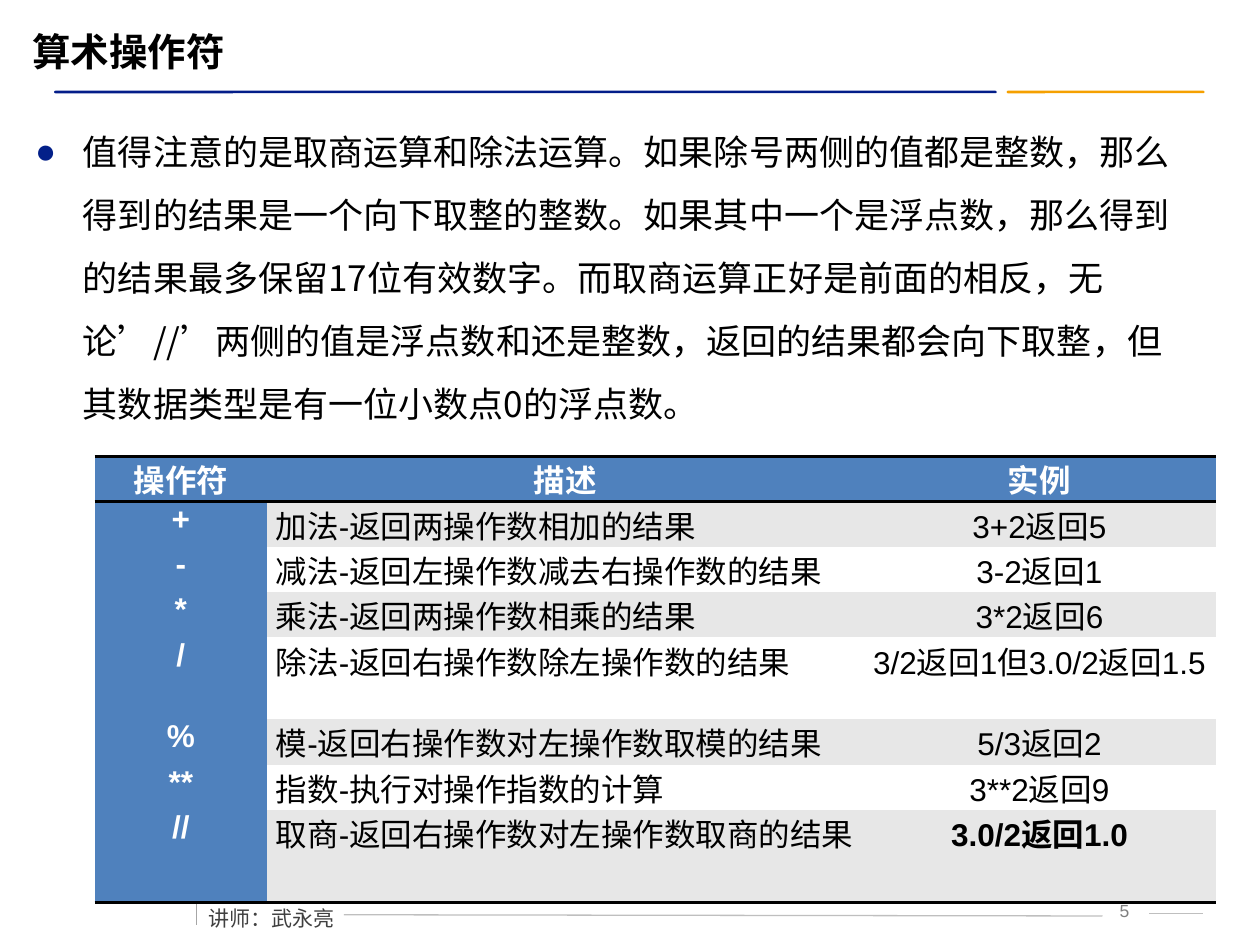
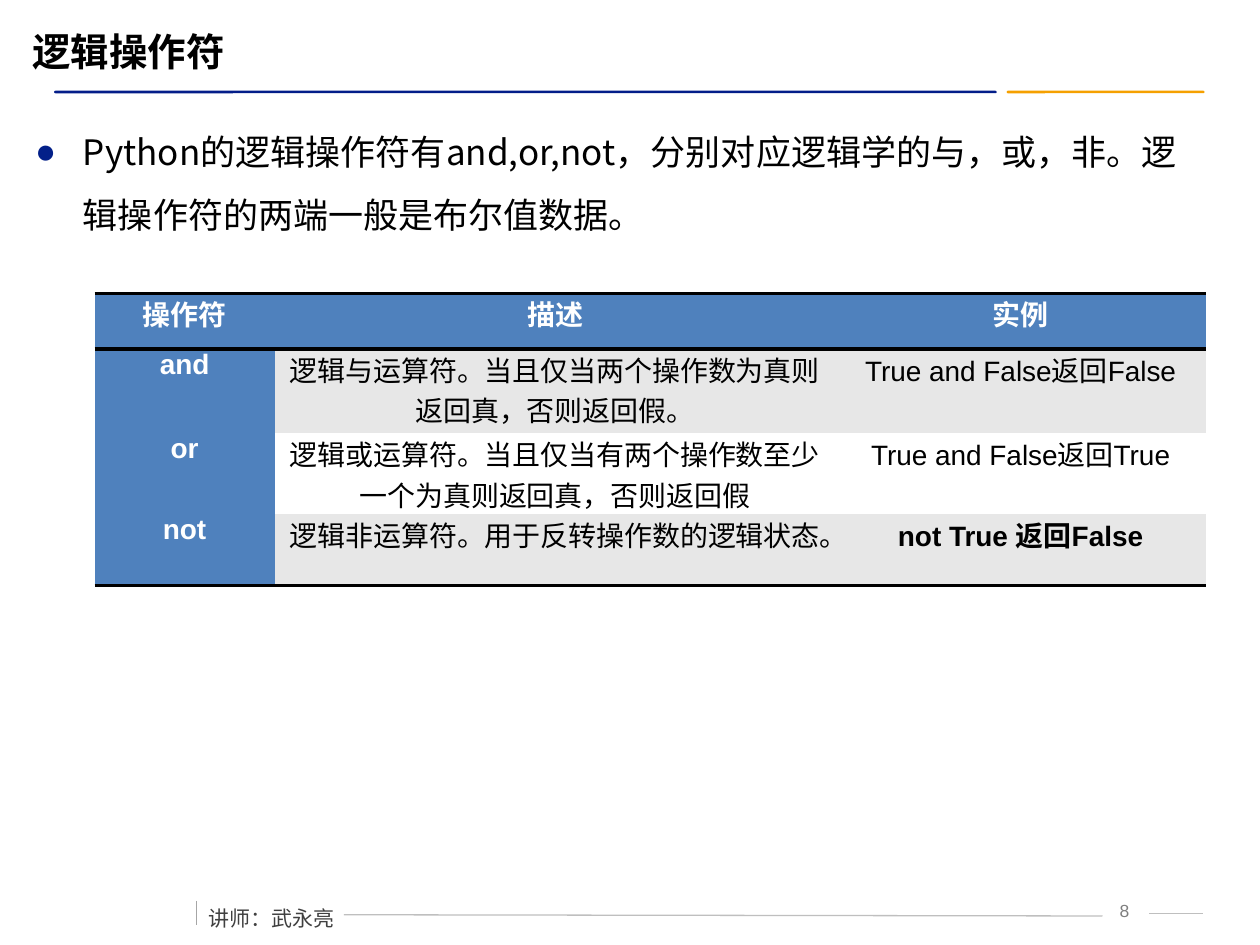
from lxml import etree
from pptx import Presentation
from pptx.dml.color import RGBColor
from pptx.enum.shapes import MSO_CONNECTOR, MSO_SHAPE
from pptx.enum.text import MSO_ANCHOR, MSO_AUTO_SIZE, PP_ALIGN
from pptx.oxml.ns import qn
from pptx.util import Inches, Pt

COLORS = {
    "navy": "031D89", "bullet": "032089", "orange": "F5A000",
    "blue": "4F81BD", "band": "E7E7E7", "white": "FFFFFF", "black": "000000",
    "footer": "404040", "number": "7F7F7F", "rule": "BFBFBF", "tick": "A6A6A6",
}
CJK = "Noto Sans CJK SC"
NO_STYLE = "{2D5ABB26-0587-4C30-8999-92F81FD0307C}"

ARITHMETIC_NOTE = (
    "值得注意的是取商运算和除法运算。如果除号两侧的值都是整数，那么得到的结果是一个向下取整的整数。"
    "如果其中一个是浮点数，那么得到的结果最多保留17位有效数字。而取商运算正好是前面的相反，"
    "无论’//’两侧的值是浮点数和还是整数，返回的结果都会向下取整，但其数据类型是有一位小数点0的浮点数。"
)
LOGIC_NOTE = (
    "Python的逻辑操作符有and,or,not，分别对应逻辑学的与，或，非。"
    "逻辑操作符的两端一般是布尔值数据。"
)
HEADER = ("操作符", "描述", "实例")
ARITHMETIC_ROWS = [
    HEADER,
    ("+", "加法-返回两操作数相加的结果", "3+2返回5"),
    ("-", "减法-返回左操作数减去右操作数的结果", "3-2返回1"),
    ("*", "乘法-返回两操作数相乘的结果", "3*2返回6"),
    ("/", "除法-返回右操作数除左操作数的结果", "3/2返回1但3.0/2返回1.5"),
    ("%", "模-返回右操作数对左操作数取模的结果", "5/3返回2"),
    ("**", "指数-执行对操作指数的计算", "3**2返回9"),
    ("//", "取商-返回右操作数对左操作数取商的结果", "3.0/2返回1.0"),
]
LOGIC_ROWS = [
    HEADER,
    ("and", "逻辑与运算符。当且仅当两个操作数为真则返回真，否则返回假。", "True and False返回False"),
    ("or", "逻辑或运算符。当且仅当有两个操作数至少一个为真则返回真，否则返回假", "True and False返回True"),
    ("not", "逻辑非运算符。用于反转操作数的逻辑状态。", "not True 返回False"),
]


def rgb(name):
    return RGBColor.from_string(COLORS[name])


def write(tf, text, size, font="Arial", color="black", bold=False,
          align=PP_ALIGN.LEFT, spacing=None):
    p = tf.paragraphs[0]
    p.alignment = align
    if spacing:
        p.line_spacing = spacing
    r = p.add_run()
    r.text = text
    r.font.size, r.font.bold, r.font.name = Pt(size), bold, font
    r.font.color.rgb = rgb(color)
    etree.SubElement(r.font._element, qn("a:ea"), typeface=CJK)
    return p


def add_text(slide, box, text, size, wrap=True, anchor=MSO_ANCHOR.TOP, **fmt):
    tf = slide.shapes.add_textbox(*map(Inches, box)).text_frame
    tf.word_wrap = wrap
    tf.vertical_anchor = anchor
    if not wrap:
        tf.auto_size = MSO_AUTO_SIZE.SHAPE_TO_FIT_TEXT
    return write(tf, text, size, **fmt)


def add_bullet(p, indent):
    pPr = p._p.get_or_add_pPr()
    pPr.set("marL", str(Inches(indent)))
    pPr.set("indent", str(-Inches(indent)))
    clr = etree.SubElement(pPr, qn("a:buClr"))
    etree.SubElement(clr, qn("a:srgbClr"), val=COLORS["bullet"])
    etree.SubElement(pPr, qn("a:buFont"), typeface="Arial")
    etree.SubElement(pPr, qn("a:buChar"), char="●")


def add_bar(slide, left, width, color):
    sp = slide.shapes.add_shape(MSO_SHAPE.ROUNDED_RECTANGLE, Inches(left),
                                Inches(0.72), Inches(width), Inches(0.02))
    sp.adjustments[0] = 0.5
    sp.shadow.inherit = False
    sp.fill.solid()
    sp.fill.fore_color.rgb = rgb(color)
    sp.line.fill.background()


def add_line(slide, ends, color):
    line = slide.shapes.add_connector(MSO_CONNECTOR.STRAIGHT, *map(Inches, ends))
    line.line.color.rgb = rgb(color)
    line.line.width = Pt(0.75)
    etree.SubElement(line._element.spPr, qn("a:effectLst"))


def add_border(cell, side):
    tcPr = cell._tc.get_or_add_tcPr()
    ln = etree.SubElement(tcPr, qn(f"a:ln{side}"), w=str(Pt(2)))
    fill = etree.SubElement(ln, qn("a:solidFill"))
    etree.SubElement(fill, qn("a:srgbClr"), val=COLORS["black"])


def add_operator_table(slide, left, top, widths, heights, rows, size, description_align):
    frame = slide.shapes.add_table(len(rows), len(widths), Inches(left), Inches(top),
                                   Inches(sum(widths)), Inches(sum(heights)))
    table = frame.table
    table._tbl.tblPr.find(qn("a:tableStyleId")).text = NO_STYLE
    for column, width in zip(table.columns, widths):
        column.width = Inches(width)
    for row, height in zip(table.rows, heights):
        row.height = Inches(height)

    last = len(rows) - 1
    for i, row in enumerate(rows):
        for j, text in enumerate(row):
            cell = table.cell(i, j)
            cell.margin_left = cell.margin_right = Inches(0.07)
            cell.margin_top = cell.margin_bottom = 0
            # Borders go above and below the header and below the last row
            if i == 0:
                add_border(cell, "T")
            if i in (0, last):
                add_border(cell, "B")
            heading = i == 0 or j == 0
            cell.fill.solid()
            cell.fill.fore_color.rgb = rgb("blue" if heading else "band" if i % 2 else "white")
            write(cell.text_frame, text, size,
                  color="white" if heading else "black",
                  bold=heading or (i == last and j == 2),
                  align=description_align if i and j == 1 else PP_ALIGN.CENTER)


def add_content_slide(prs, title, note, number):
    slide = prs.slides.add_slide(prs.slide_layouts[6])
    # Bars under the title
    add_bar(slide, 7.99, 1.57, "orange")
    add_bar(slide, 0.43, 7.48, "navy")
    # Footer
    add_text(slide, (8.69, 7.09, 0.47, 0.25), number, 10, color="number",
             align=PP_ALIGN.CENTER)
    add_line(slide, (2.73, 7.26, 8.75, 7.27), "rule")
    add_line(slide, (9.12, 7.25, 9.55, 7.25), "rule")
    add_line(slide, (1.56, 7.15, 1.56, 7.34), "tick")
    add_text(slide, (1.56, 7.04, 1.21, 0.36), "讲师：武永亮", 12, wrap=False,
             font=CJK, color="footer", spacing=1.5)
    # Title and note
    add_text(slide, (0.16, 0.17, 9.41, 0.47), title, 22, bold=True,
             anchor=MSO_ANCHOR.MIDDLE)
    p = add_text(slide, (0.18, 0.82, 9.39, 1.41), note, 20, font=CJK, spacing=1.5)
    add_bullet(p, 0.38)
    return slide


def main():
    prs = Presentation()
    prs.slide_width, prs.slide_height = Inches(10), Inches(7.5)

    # Arithmetic operators; the "/" and "//" rows hold two lines
    slide = add_content_slide(prs, "算术操作符", ARITHMETIC_NOTE, "5")
    line_height = 0.36
    heights = [line_height] * 4 + [0.65] + [line_height] * 2 + [0.73]
    add_operator_table(slide, 0.75, 3.62, (1.37, 4.73, 2.8), heights,
                       ARITHMETIC_ROWS, 18, PP_ALIGN.LEFT)

    # Logical operators
    slide = add_content_slide(prs, "逻辑操作符", LOGIC_NOTE, "8")
    add_operator_table(slide, 0.75, 2.33, (1.43, 4.45, 2.94), (0.44, 0.67, 0.64, 0.57),
                       LOGIC_ROWS, 16, PP_ALIGN.CENTER)

    prs.save("out.pptx")


if __name__ == "__main__":
    main()
